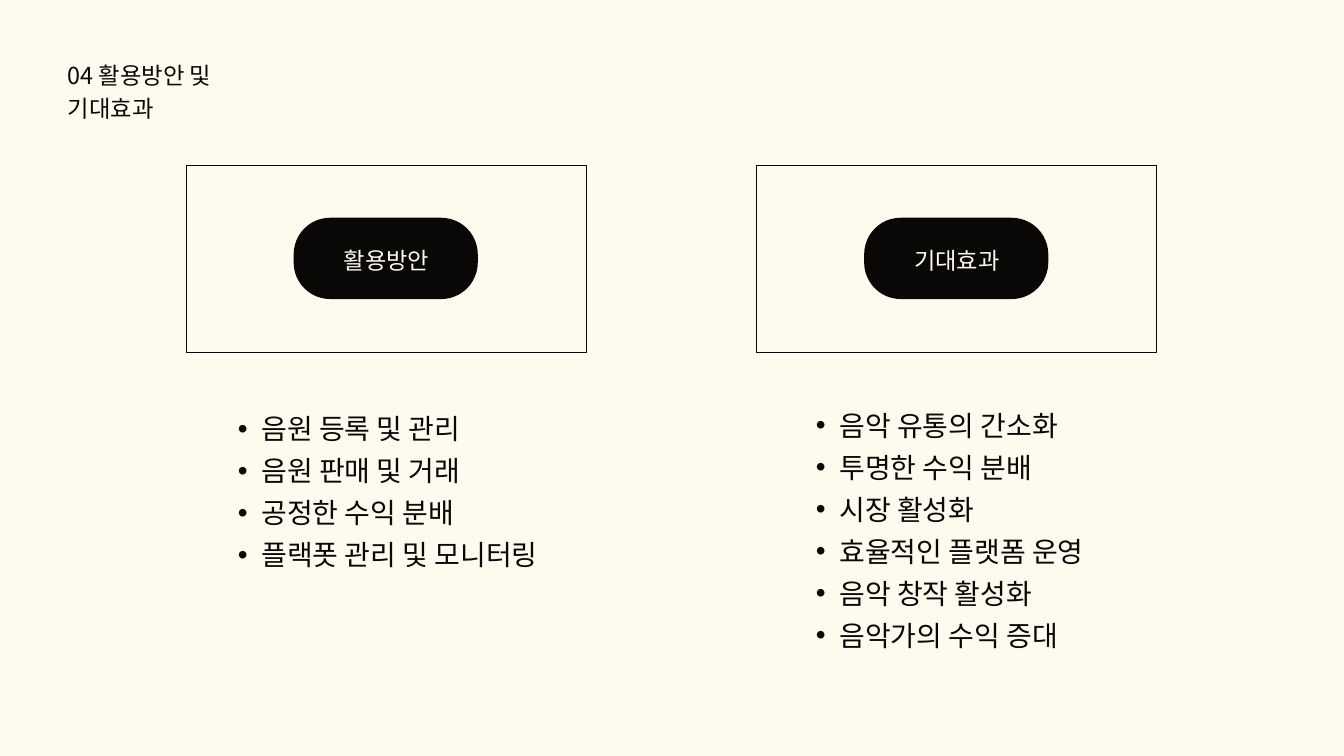
from dataclasses import dataclass
from typing import Optional

from lxml import etree
from pptx import Presentation, util as u
from pptx.dml.color import RGBColor
from pptx.enum import shapes, text
from pptx.oxml import ns
from pptx.slide import Slide

COLUMNS, ROWS = 200, 112.5
SLIDE_WIDTH, SLIDE_HEIGHT = u.Inches(20), u.Inches(11.25)


@dataclass(frozen=True)
class Theme:
    cream: RGBColor = RGBColor(0xFE, 0xFB, 0xEE)
    ink: RGBColor = RGBColor(0x09, 0x08, 0x07)
    font: str = "Noto Sans CJK SC"
    outline: float = 0.75


@dataclass(frozen=True)
class TextStyle:
    size: float
    leading: float
    color: RGBColor
    align: Optional[text.PP_ALIGN] = None
    bulleted: bool = False


@dataclass(frozen=True)
class Area:
    """A rectangle in grid columns and rows."""
    column: float
    row: float
    columns: float
    rows: float

    def shifted(self, columns: float) -> "Area":
        return Area(self.column + columns, self.row, self.columns, self.rows)

    def lengths(self) -> tuple[int, int, int, int]:
        across, down = SLIDE_WIDTH / COLUMNS, SLIDE_HEIGHT / ROWS
        return (round(self.column * across), round(self.row * down),
                round(self.columns * across), round(self.rows * down))


@dataclass(frozen=True)
class Topic:
    label: str
    list_area: Area
    align: text.PP_ALIGN
    items: tuple[str, ...]


THEME = Theme()
TITLE_STYLE = TextStyle(25, 35, THEME.ink)
LABEL_STYLE = TextStyle(24.9, 34.9, THEME.cream, text.PP_ALIGN.CENTER)

TITLE_AREA = Area(10.1, 8.4, 34, 4.6)
FRAME_AREA = Area(27.7, 24.6, 59.5, 27.8)
PILL_AREA = Area(43.7, 32.4, 27.4, 12.1)
LABEL_AREA = Area(44.1, 35.9, 26.8, 4.6)
TOPIC_STEP = 84.9
PILL_ROUNDING = 0.45

TOPICS = (
    Topic("활용방안", Area(31.8, 60, 51.2, 31), text.PP_ALIGN.LEFT,
          ("음원 등록 및 관리", "음원 판매 및 거래", "공정한 수익 분배",
           "플랙폿 관리 및 모니터링")),
    Topic("기대효과", Area(117.8, 59.5, 49.2, 43.5), text.PP_ALIGN.JUSTIFY,
          ("음악 유통의 간소화", "투명한 수익 분배", "시장 활성화",
           "효율적인 플랫폼 운영", "음악 창작 활성화", "음악가의 수익 증대")),
)


def add_bullet(paragraph) -> None:
    properties = paragraph._p.get_or_add_pPr()
    properties.set("marL", str(u.Inches(0.71)))
    properties.set("indent", str(-u.Inches(0.35)))
    etree.SubElement(properties, ns.qn("a:buFont")).set("typeface", "Arial")
    etree.SubElement(properties, ns.qn("a:buChar")).set("char", "•")


def add_text(slide: Slide, area: Area, lines: tuple[str, ...], style: TextStyle) -> None:
    frame = slide.shapes.add_textbox(*area.lengths()).text_frame
    frame.word_wrap = True
    frame.margin_left = frame.margin_right = frame.margin_top = frame.margin_bottom = 0
    frame.text = "\n".join(lines)
    for paragraph in frame.paragraphs:
        if style.bulleted:
            paragraph.level = 1
            add_bullet(paragraph)
        paragraph.alignment = style.align
        paragraph.line_spacing = u.Pt(style.leading)
        for run in paragraph.runs:
            run.font.size = u.Pt(style.size)
            run.font.color.rgb = style.color
            run.font.name = THEME.font
            east_asian = etree.SubElement(run.font._element, ns.qn("a:ea"))
            east_asian.set("typeface", THEME.font)


def add_frame(slide: Slide, area: Area) -> None:
    shape = slide.shapes.add_shape(shapes.MSO_SHAPE.RECTANGLE, *area.lengths())
    shape.shadow.inherit = False
    shape.fill.background()
    shape.line.color.rgb = THEME.ink
    shape.line.width = u.Pt(THEME.outline)


def add_pill(slide: Slide, area: Area) -> None:
    shape = slide.shapes.add_shape(shapes.MSO_SHAPE.ROUNDED_RECTANGLE, *area.lengths())
    shape.adjustments[0] = PILL_ROUNDING
    shape.shadow.inherit = False
    shape.fill.solid()
    shape.fill.fore_color.rgb = THEME.ink
    shape.line.fill.background()


def add_topic(slide: Slide, topic: Topic, shift: float) -> None:
    add_frame(slide, FRAME_AREA.shifted(shift))
    add_pill(slide, PILL_AREA.shifted(shift))
    add_text(slide, LABEL_AREA.shifted(shift), (topic.label,), LABEL_STYLE)
    list_style = TextStyle(30, 45, THEME.ink, topic.align, bulleted=True)
    add_text(slide, topic.list_area, topic.items, list_style)


def main() -> None:
    presentation = Presentation()
    presentation.slide_width, presentation.slide_height = SLIDE_WIDTH, SLIDE_HEIGHT
    slide = presentation.slides.add_slide(presentation.slide_layouts[6])
    slide.background.fill.solid()
    slide.background.fill.fore_color.rgb = THEME.cream

    add_text(slide, TITLE_AREA, ("04 활용방안 및 기대효과",), TITLE_STYLE)
    for index, topic in enumerate(TOPICS):
        add_topic(slide, topic, index * TOPIC_STEP)
    presentation.save("out.pptx")


if __name__ == "__main__":
    main()
